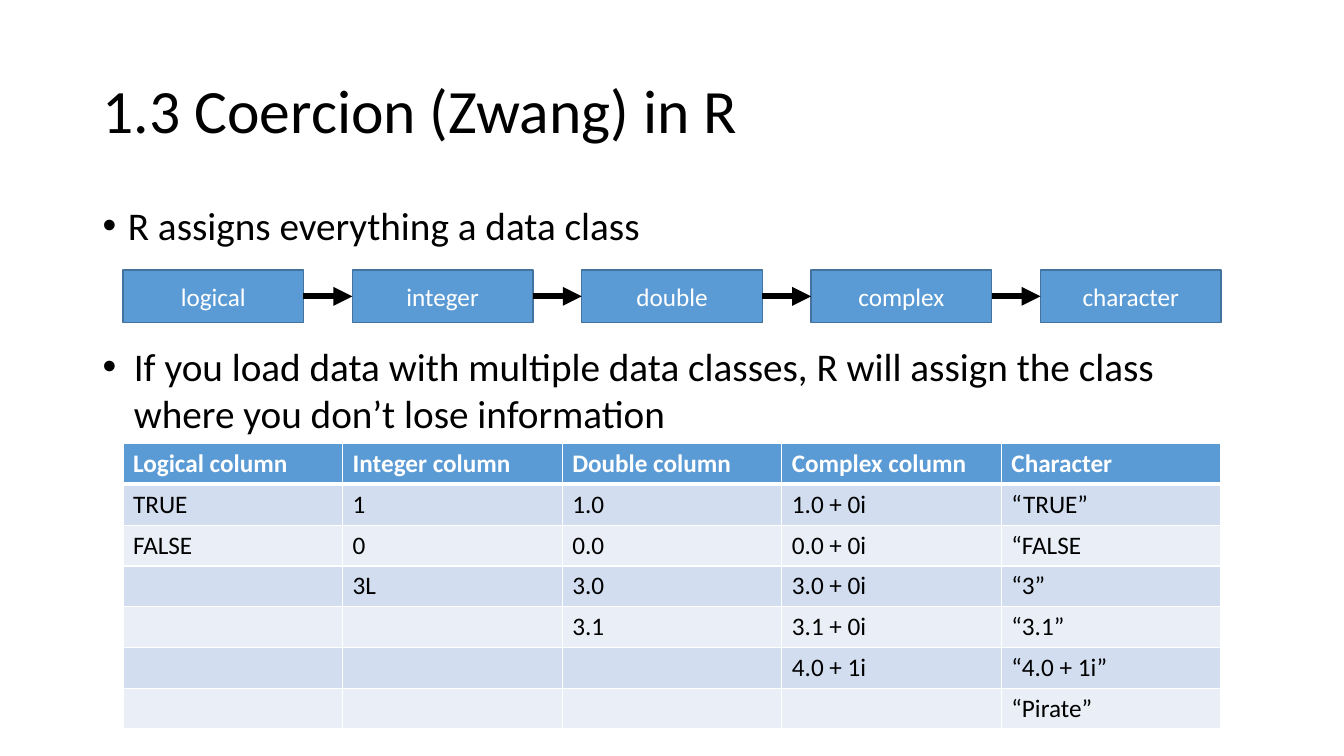
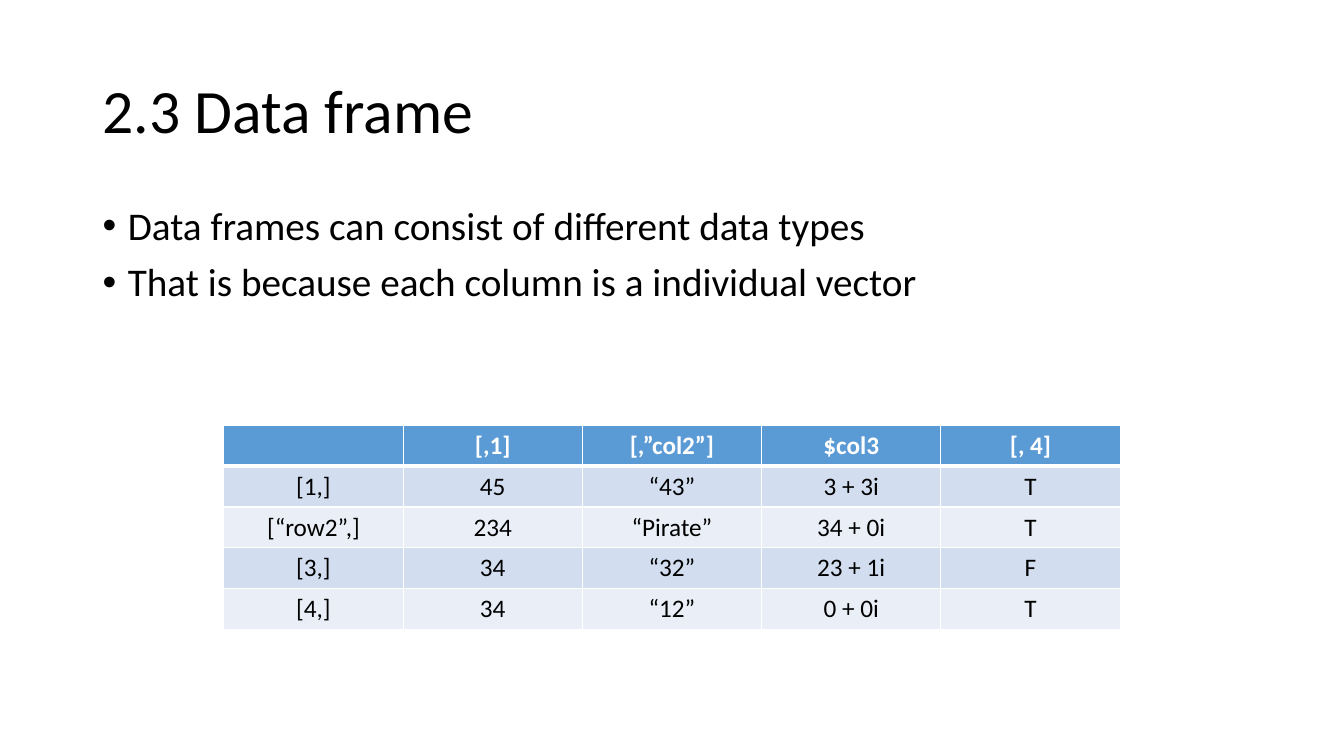
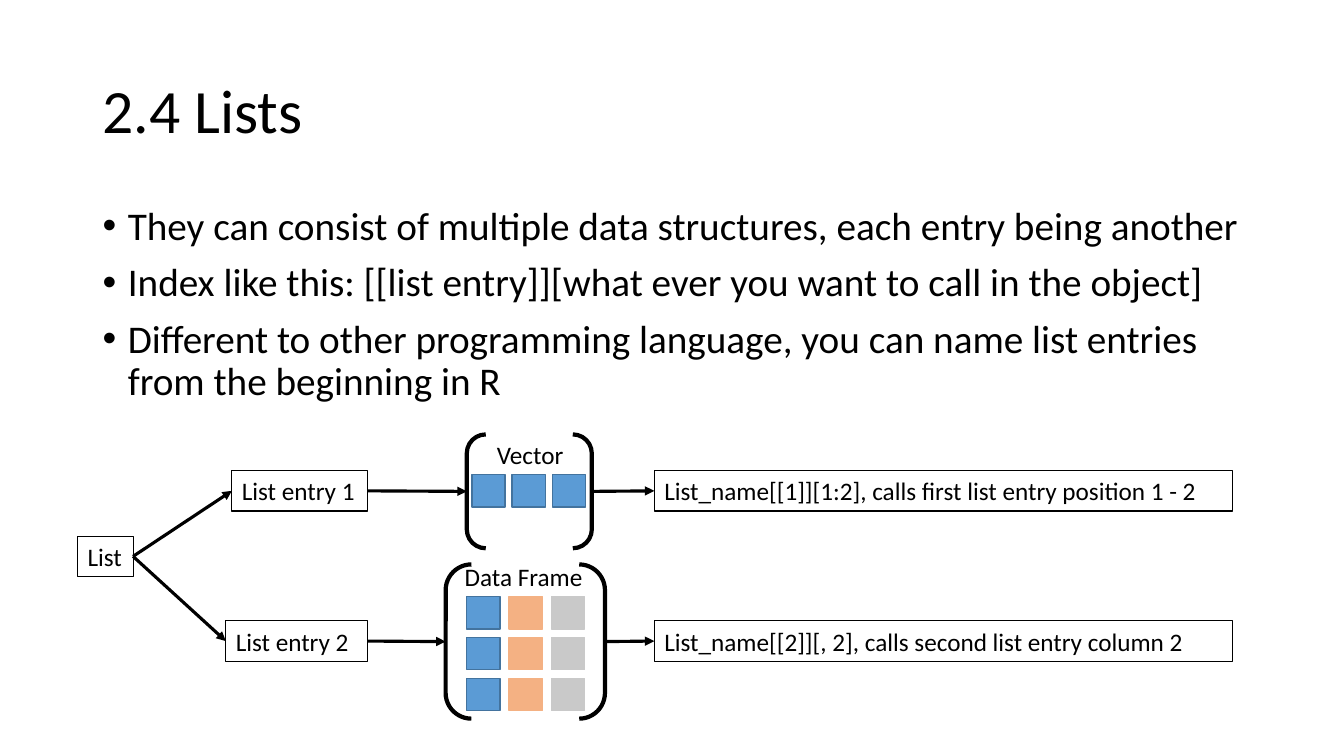
"""Build three slides on R data classes, data frames and lists."""
from dataclasses import dataclass
from itertools import pairwise, product
from typing import Optional

from lxml.etree import SubElement
from pptx import Presentation
from pptx.dml.color import RGBColor
from pptx.enum.shapes import MSO_CONNECTOR, MSO_SHAPE
from pptx.enum.text import MSO_ANCHOR, PP_ALIGN
from pptx.oxml.ns import qn
from pptx.util import Inches, Pt

FONT = "Calibri"
COLORS = {
    "black": "000000",
    "white": "FFFFFF",
    "blue": "5B9BD5",
    "blue_edge": "43739E",
    "orange": "F4B183",
    "gray": "C9C9C9",
    "band_dark": "D2DEEF",
    "band_light": "EAEFF7",
}
BODY_SIZE = 28
LABEL_SIZE = 18
ROW_HEIGHT = 0.405


@dataclass
class Box:
    left: float
    top: float
    width: float
    height: float

    @property
    def right(self) -> float:
        return self.left + self.width

    @property
    def middle(self) -> float:
        return self.top + self.height / 2

    def lengths(self) -> tuple:
        return tuple(Inches(value) for value in (self.left, self.top, self.width, self.height))


@dataclass
class Style:
    fill: Optional[str]
    line: Optional[str]
    line_width: float = 1


@dataclass
class Label:
    text: str
    box: Box
    style: Style


@dataclass
class Bullets:
    box: Box
    lines: list[str]
    indent: float = 0.25
    line_spacing: float = 0.9
    space_before: float = 10


@dataclass
class Grid:
    box: Box
    rows: list[list[str]]
    alignment: PP_ALIGN


FILLED = Style("blue", "blue_edge")
OUTLINED = Style(None, "black", 0.75)
BRACKET = Style(None, "black", 3)
PLAIN = Style(None, None)
TITLE_BOX = Box(0.92, 0.4, 11.5, 1.45)
BODY_BOX = Box(0.92, 2, 11.5, 4.76)


def color(name: str) -> RGBColor:
    return RGBColor.from_string(COLORS[name])


def format_text(paragraph, size: float, color_name: str = "black", bold: bool = False) -> None:
    for run in paragraph.runs:
        run.font.name = FONT
        run.font.size = Pt(size)
        run.font.bold = bold
        run.font.color.rgb = color(color_name)


def add_shape(slide, kind: MSO_SHAPE, box: Box, style: Style):
    shape = slide.shapes.add_shape(kind, *box.lengths())
    shape.shadow.inherit = False
    if style.fill:
        shape.fill.solid()
        shape.fill.fore_color.rgb = color(style.fill)
    else:
        shape.fill.background()
    if style.line:
        shape.line.color.rgb = color(style.line)
        shape.line.width = Pt(style.line_width)
    else:
        shape.line.fill.background()
    return shape


def add_label(slide, label: Label) -> None:
    if label.style is PLAIN:
        shape = slide.shapes.add_textbox(*label.box.lengths())
    else:
        shape = add_shape(slide, MSO_SHAPE.RECTANGLE, label.box, label.style)
    filled = label.style.fill is not None
    text_frame = shape.text_frame
    text_frame.text = label.text
    text_frame.word_wrap = True
    text_frame.vertical_anchor = MSO_ANCHOR.MIDDLE if filled else MSO_ANCHOR.TOP
    if not filled:
        text_frame.margin_right = 0
    paragraph = text_frame.paragraphs[0]
    paragraph.alignment = PP_ALIGN.CENTER if filled else PP_ALIGN.LEFT
    format_text(paragraph, LABEL_SIZE, "white" if filled else "black")


def add_arrow(slide, start: tuple[float, float], end: tuple[float, float], width: float) -> None:
    points = [Inches(value) for value in (*start, *end)]
    connector = slide.shapes.add_connector(MSO_CONNECTOR.STRAIGHT, *points)
    connector.line.color.rgb = color("black")
    connector.line.width = Pt(width)
    SubElement(connector.line._get_or_add_ln(), qn("a:tailEnd"), type="triangle")
    SubElement(connector._element.spPr, qn("a:effectLst"))


def connect(slide, source: Box, target: Box, width: float = 2.25) -> None:
    add_arrow(slide, (source.right, source.middle), (target.left, target.middle), width)


def add_title(slide, text: str) -> None:
    text_frame = slide.shapes.add_textbox(*TITLE_BOX.lengths()).text_frame
    text_frame.word_wrap = True
    text_frame.vertical_anchor = MSO_ANCHOR.MIDDLE
    text_frame.text = text
    text_frame.paragraphs[0].line_spacing = 0.9
    format_text(text_frame.paragraphs[0], 44)


def add_bullets(slide, bullets: Bullets) -> None:
    text_frame = slide.shapes.add_textbox(*bullets.box.lengths()).text_frame
    text_frame.word_wrap = True
    text_frame.text = "\n".join(bullets.lines)
    for paragraph in text_frame.paragraphs:
        paragraph.line_spacing = bullets.line_spacing
        paragraph.space_before = Pt(bullets.space_before)
        properties = paragraph._p.get_or_add_pPr()
        properties.set("marL", str(Inches(bullets.indent)))
        properties.set("indent", str(-Inches(bullets.indent)))
        SubElement(properties, qn("a:buFont"), typeface="Arial")
        SubElement(properties, qn("a:buChar"), char="•")
        format_text(paragraph, BODY_SIZE)


def add_borders(cell, top: float, bottom: float) -> None:
    properties = cell._tc.get_or_add_tcPr()
    for side, width in (("L", 1), ("R", 1), ("T", top), ("B", bottom)):
        line = SubElement(properties, qn(f"a:ln{side}"), w=str(Pt(width)))
        fill = SubElement(line, qn("a:solidFill"))
        SubElement(fill, qn("a:srgbClr"), val=COLORS["white"])


def add_grid(slide, grid: Grid) -> None:
    size = len(grid.rows), len(grid.rows[0])
    table = slide.shapes.add_table(*size, *grid.box.lengths()).table
    for row_index, texts in enumerate(grid.rows):
        table.rows[row_index].height = Inches(grid.box.height / len(grid.rows))
        header = row_index == 0
        band = "band_dark" if row_index % 2 else "band_light"
        for column_index, text in enumerate(texts):
            cell = table.cell(row_index, column_index)
            add_borders(cell, 3 if row_index == 1 else 1, 3 if header else 1)
            cell.fill.solid()
            cell.fill.fore_color.rgb = color("blue" if header else band)
            cell.text_frame.text = text
            paragraph = cell.text_frame.paragraphs[0]
            paragraph.alignment = grid.alignment
            format_text(paragraph, LABEL_SIZE, "white" if header else "black", header)


def add_squares(slide, left: float, top: float, pitch: tuple[float, float],
                rows: int, styles: list[Style]) -> None:
    for (column, style), row in product(enumerate(styles), range(rows)):
        box = Box(left + column * pitch[0], top + row * pitch[1], 0.33, 0.32)
        add_shape(slide, MSO_SHAPE.RECTANGLE, box, style)


def start_slide(presentation, title: str, bullets: Bullets):
    slide = presentation.slides.add_slide(presentation.slide_layouts[6])
    add_title(slide, title)
    add_bullets(slide, bullets)
    return slide


def build_coercion(presentation) -> None:
    slide = start_slide(presentation, "1.3 Coercion (Zwang) in R",
                        Bullets(Box(0.92, 2, 11.5, 1), ["R assigns everything a data class "]))
    classes = ["logical", "integer", "double", "complex", "character"]
    boxes = [Box(1.22 + 2.275 * index, 2.68, 1.79, 0.52) for index in range(len(classes))]
    for name, box in zip(classes, boxes):
        add_label(slide, Label(name, box, FILLED))
    for source, target in pairwise(boxes):
        connect(slide, source, target, 4.5)
    add_bullets(slide, Bullets(
        Box(0.92, 3.35, 11.2, 1.04),
        ["If you load data with multiple data classes, R will assign the class "
         "where you don’t lose information"],
        indent=0.31, line_spacing=1.0, space_before=0))
    rows = [
        ["Logical column", "Integer column", "Double column", "Complex column", "Character"],
        ["TRUE", "1", "1.0", "1.0 + 0i", "“TRUE”"],
        ["FALSE", "0", "0.0", "0.0 + 0i", "“FALSE"],
        ["", "3L", "3.0", "3.0 + 0i", "“3”"],
        ["", "", "3.1", "3.1 + 0i", "“3.1”"],
        ["", "", "", "4.0 + 1i", "“4.0 + 1i”"],
        ["", "", "", "", "“Pirate”"],
    ]
    add_grid(slide, Grid(Box(1.22, 4.4, 10.89, ROW_HEIGHT * len(rows)), rows, PP_ALIGN.LEFT))


def build_data_frame(presentation) -> None:
    slide = start_slide(presentation, "2.3 Data frame", Bullets(BODY_BOX, [
        "Data frames can consist of different data types",
        "That is because each column is a individual vector",
    ]))
    rows = [
        ["", "[,1]", "[,”col2”]", "$col3", "[, 4]"],
        ["[1,]", "45", "“43”", "3 + 3i", "T"],
        ["[“row2”,]", "234", "“Pirate”", "34 + 0i", "T"],
        ["[3,]", "34", "“32”", "23 + 1i", "F"],
        ["[4,]", "34", "“12”", "0 + 0i", "T"],
    ]
    add_grid(slide, Grid(Box(2.22, 4.22, 8.89, ROW_HEIGHT * len(rows)), rows, PP_ALIGN.CENTER))


def build_lists(presentation) -> None:
    slide = start_slide(presentation, "2.4 Lists", Bullets(BODY_BOX, [
        "They can consist of multiple data structures, each entry being another",
        "Index like this: [[list entry]][what ever you want to call in the object]",
        "Different to other programming language, you can name list entries "
        "from the beginning in R",
    ]))
    frame_columns = [FILLED, Style("orange", "orange"), Style("gray", "gray")]
    add_squares(slide, 4.63, 5.92, (0.42, 0.405), 3, frame_columns)
    add_squares(slide, 4.68, 4.71, (0.4, 0), 1, [FILLED] * 3)

    root = Label("List ", Box(0.77, 5.32, 0.55, 0.4), OUTLINED)
    entries = [
        Label("List entry 1", Box(2.3, 4.67, 1.35, 0.4), OUTLINED),
        Label("List entry 2", Box(2.24, 6.16, 1.41, 0.4), OUTLINED),
    ]
    calls = [
        Label("List_name[[1]][1:2], calls first list entry position 1 - 2",
              Box(6.49, 4.67, 5.73, 0.4), OUTLINED),
        Label("List_name[[2]][, 2], calls second list entry column 2",
              Box(6.49, 6.16, 5.73, 0.4), OUTLINED),
    ]
    headings = [
        Label("Vector", Box(4.83, 4.31, 0.97, 0.4), PLAIN),
        Label("Data Frame", Box(4.51, 5.52, 1.54, 0.4), PLAIN),
    ]
    brackets = [Box(4.63, 4.31, 1.24, 1.13), Box(4.42, 5.6, 1.58, 1.53)]
    for label in [root, *entries, *calls, *headings]:
        add_label(slide, label)
    for entry, bracket, call in zip(entries, brackets, calls):
        add_shape(slide, MSO_SHAPE.DOUBLE_BRACKET, bracket, BRACKET)
        connect(slide, root.box, entry.box)
        connect(slide, entry.box, bracket)
        connect(slide, bracket, call.box)


def main() -> None:
    presentation = Presentation()
    presentation.slide_width = Inches(13.33)
    presentation.slide_height = Inches(7.5)
    build_coercion(presentation)
    build_data_frame(presentation)
    build_lists(presentation)
    presentation.save("out.pptx")


main()
